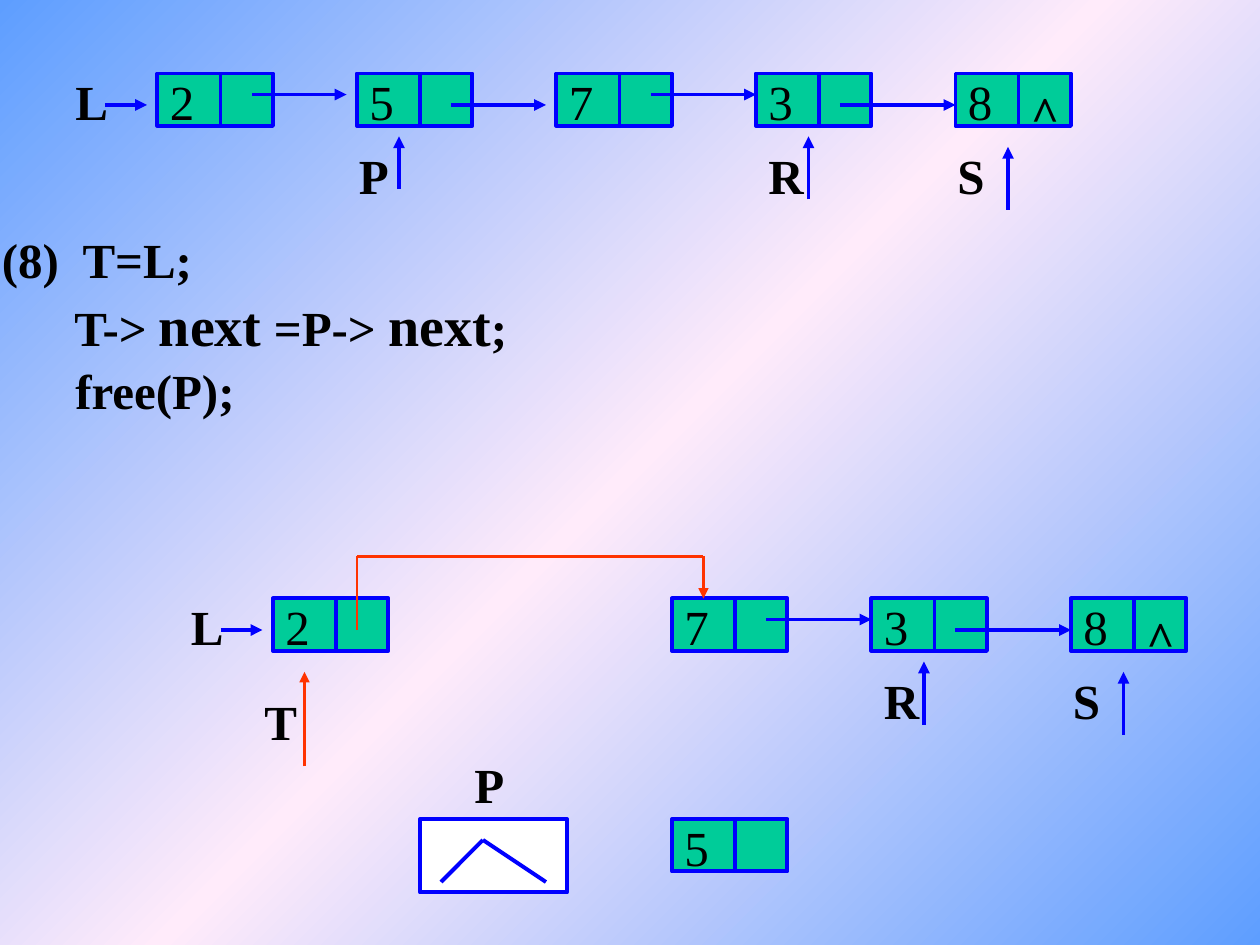
import copy

import pptx
import pptx.dml.color
import pptx.enum.shapes
import pptx.enum.text
import pptx.oxml
import pptx.oxml.ns
import pptx.util
from pptx.util import Cm

BLUE = pptx.dml.color.RGBColor(0x00, 0x00, 0xFF)
RED = pptx.dml.color.RGBColor(0xFF, 0x33, 0x00)
GREEN = pptx.dml.color.RGBColor(0x00, 0xCC, 0x99)
WHITE = pptx.dml.color.RGBColor(0xFF, 0xFF, 0xFF)
BLACK = pptx.dml.color.RGBColor(0x00, 0x00, 0x00)
SKY = pptx.dml.color.RGBColor(0x5E, 0x9E, 0xFF)
PINK = pptx.dml.color.RGBColor(0xFF, 0xEB, 0xFA)

# The drawing sits on a grid of 120 by 90 units.
UNIT = 2.54 / 12
NODE_STEP = 19
NODE_WIDTH, NODE_HEIGHT, DATA_WIDTH = 11, 5, 6
LINE_HEIGHT = 1.25  # exact line spacing, relative to the text size


def grid(*units):
    """Turn grid units into lengths."""
    return [Cm(unit * UNIT) for unit in units]


def set_background(slide):
    fill = slide.background.fill
    fill.gradient()
    fill.gradient_angle = 135
    stop_list = slide.element.xpath(".//a:gsLst")[0]
    stop_list.append(copy.deepcopy(stop_list[0]))
    for stop, position, color in zip(
        fill.gradient_stops, (0, 0.5, 1), (SKY, PINK, SKY)
    ):
        stop.position = position
        stop.color.rgb = color


def add_text(shapes, text, left, top, width, height=6.84, bold=True):
    """Add a text box; text is a string or a list of lines of (text, size) runs."""
    lines = [[(text, 28)]] if isinstance(text, str) else text
    text_box = shapes.add_textbox(*grid(left, top, width, height))
    frame = text_box.text_frame
    frame.word_wrap = True
    for index, runs in enumerate(lines):
        paragraph = frame.paragraphs[0] if index == 0 else frame.add_paragraph()
        paragraph.alignment = pptx.enum.text.PP_ALIGN.LEFT
        largest = max(size for _, size in runs)
        paragraph.line_spacing = pptx.util.Pt(largest * LINE_HEIGHT)
        for run_text, size in runs:
            run = paragraph.add_run()
            run.text = run_text
            run.font.name = "Times New Roman"
            run.font.size = pptx.util.Pt(size)
            run.font.bold = bold
            run.font.color.rgb = BLACK


def add_line(shapes, start, end, color=BLUE, width=2.25, arrow=False):
    connector = shapes.add_connector(
        pptx.enum.shapes.MSO_CONNECTOR.STRAIGHT, *grid(*start, *end)
    )
    connector.line.color.rgb = color
    connector.line.width = pptx.util.Pt(width)
    if arrow:
        line = connector.line._get_or_add_ln()
        head = pptx.oxml.parse_xml(
            "<a:tailEnd %s type='triangle'/>" % pptx.oxml.ns.nsdecls("a")
        )
        line.append(head)
    connector.element.spPr.append(
        pptx.oxml.parse_xml("<a:effectLst %s/>" % pptx.oxml.ns.nsdecls("a"))
    )


def add_box(shapes, left, top, width, height, fill):
    box = shapes.add_shape(
        pptx.enum.shapes.MSO_SHAPE.RECTANGLE, *grid(left, top, width, height)
    )
    box.shadow.inherit = False
    box.fill.solid()
    box.fill.fore_color.rgb = fill
    box.line.color.rgb = BLUE
    box.line.width = pptx.util.Pt(2.25)


def add_node(shapes, value, left, top):
    """Add a list node: a data field and a pointer field."""
    add_box(shapes, left, top, NODE_WIDTH, NODE_HEIGHT, GREEN)
    divider = left + DATA_WIDTH
    add_line(shapes, (divider, top), (divider, top + NODE_HEIGHT))
    add_text(shapes, value, left, top - 1, DATA_WIDTH, bold=False)


def add_linked_list(shapes, left, top, nodes, links):
    """Add a list with head L, pointers R and S; nodes map slot to value."""
    add_text(shapes, "L", left - 9, top - 1, 6)
    for slot, value in nodes.items():
        add_node(shapes, value, left + slot * NODE_STEP, top)
    add_text(shapes, "^", left + 82, top, 5)
    add_text(shapes, "R", left + 57, top + 6, 10)
    add_text(shapes, "S", left + 75, top + 6, 9)

    # Head arrow, links between nodes, then the R and S arrows
    arrows = [(-5, 3, -1, 3), *links, (62, 12, 62, 6), (81, 13, 81, 7)]
    for x1, y1, x2, y2 in arrows:
        add_line(
            shapes, (left + x1, top + y1), (left + x2, top + y2), arrow=True
        )


def add_code(shapes):
    lines = [
        [("(8)  T=L;", 28)],
        [("      T-> ", 28), ("next", 32), (" =P-> ", 28), ("next", 32), (";", 28)],
        [("      free(P);", 28)],
    ]
    add_text(shapes, lines, -1, 21, 64.2, 24.5)


def main():
    presentation = pptx.Presentation()
    presentation.slide_width, presentation.slide_height = grid(120, 90)
    slide = presentation.slides.add_slide(presentation.slide_layouts[6])
    set_background(slide)
    add_code(slide.shapes)

    tail_links = [(47, 2, 57, 2), (65, 3, 76, 3)]

    # List after the deletion
    after = slide.shapes.add_group_shape().shapes
    add_linked_list(after, 26, 57, {0: "2", 2: "7", 3: "3", 4: "8"}, tail_links)
    add_text(after, "T", 24, 65, 15)
    add_line(after, (29, 73), (29, 64), RED, 1.5, arrow=True)

    # New link from the first node around the removed one
    detour = [(34, 60), (34, 53), (67, 53), (67, 57)]
    for start, end in zip(detour, detour[1:]):
        add_line(after, start, end, RED, 1.5, arrow=end == detour[-1])

    # Empty pointer P and the freed node
    add_text(after, "P", 44, 71, 14)
    add_box(after, 40, 78, 14, 7, WHITE)
    add_line(after, (42, 84), (46, 80))
    add_line(after, (46, 80), (52, 84))
    add_node(after, "5", 64, 78)

    # List before the deletion
    before = slide.shapes.add_group_shape().shapes
    head_links = [(9, 2, 18, 2), (28, 3, 37, 3)]
    add_linked_list(
        before, 15, 7, dict(enumerate("25738")), head_links + tail_links
    )
    add_text(before, "P", 33, 13, 14)
    add_line(before, (38, 18), (38, 13), arrow=True)

    presentation.save("out.pptx")


if __name__ == "__main__":
    main()
